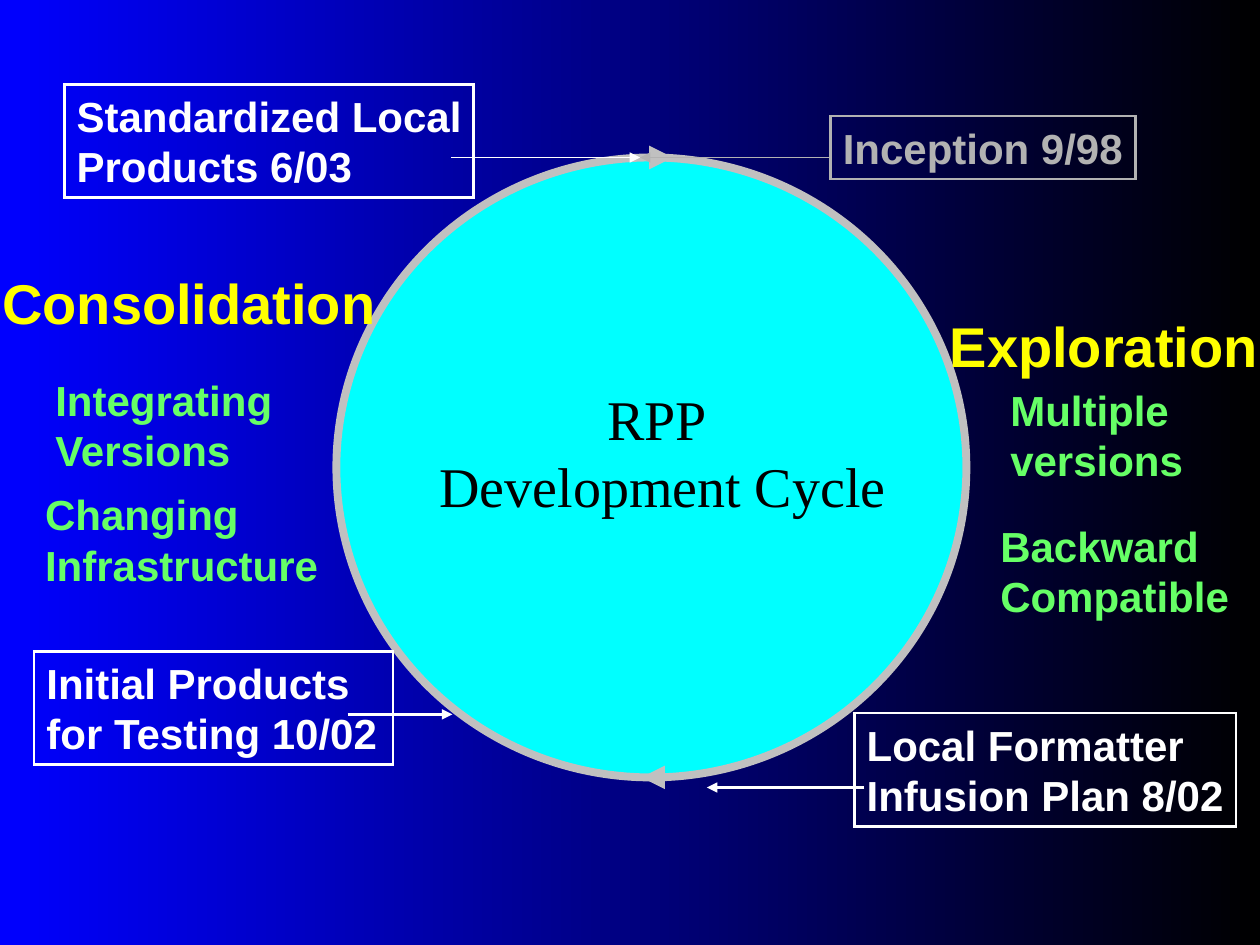
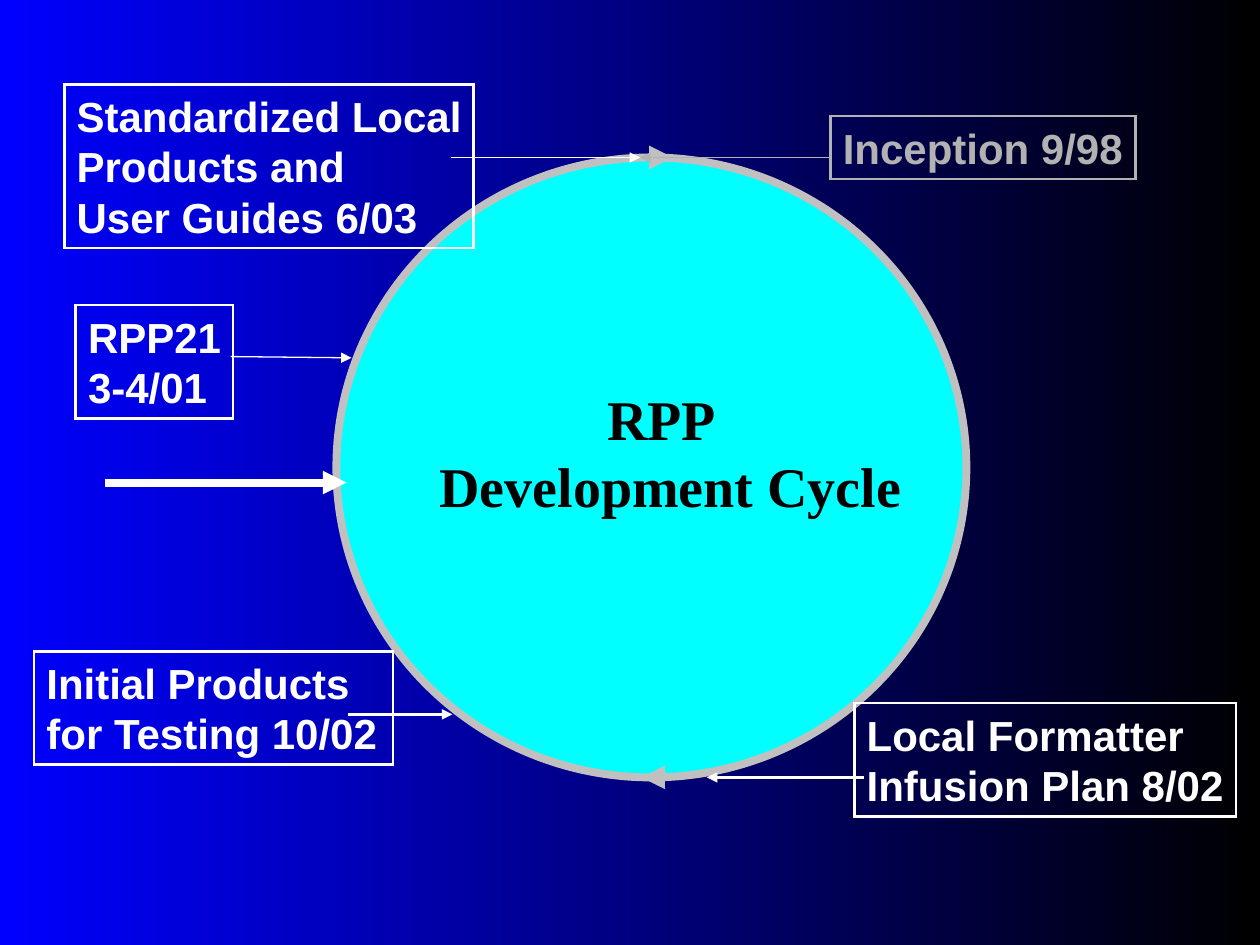
import pptx
import pptx.dml.color
import pptx.enum.shapes
import pptx.enum.text
import pptx.oxml.ns
import pptx.util
from lxml import etree

Inches = pptx.util.Inches
Pt = pptx.util.Pt
qn = pptx.oxml.ns.qn

WHITE, BLACK, BLUE = "FFFFFF", "000000", "0000FF"
CYAN, RING, MUTED = "00FFFF", "C0C0C0", "B2B2B2"
YELLOW, GREEN = "FFFF00", "66FF66"

CYCLE_LEFT, CYCLE_TOP, CYCLE_WIDTH, CYCLE_HEIGHT = 2.67, 1.25, 5, 4.92
CYCLE_BOTTOM = CYCLE_TOP + CYCLE_HEIGHT

LABEL_FONT = {"name": "Arial", "size": Pt(24), "bold": True}
PHASE_FONT = {**LABEL_FONT, "size": Pt(32)}
CYCLE_FONT = {"name": "Times New Roman", "size": Pt(32)}

PHASES = [
    ("Exploration", (7.44, 2.42, 2.65, 0.64)),
    ("Consolidation", (-0.08, 2.08, 3.16, 0.64)),
]
ACTIVITIES = [
    (["Multiple", "versions"], (7.92, 3, 1.57, 0.9)),
    (["Backward", "Compatible"], (7.84, 4.08, 2.01, 0.9)),
    (["Changing", "Infrastructure"], (0.26, 3.83, 2.36, 0.9)),
    (["Integrating", "Versions"], (0.34, 2.92, 1.92, 0.9)),
]


def color(hex_code):
    """Return the colour for a hex string."""
    return pptx.dml.color.RGBColor.from_string(hex_code)


def write_lines(shape, lines, font, hex_code, wrap=False, indents=None):
    """Fill a shape with left-aligned paragraphs, indented if asked."""
    frame = shape.text_frame
    settings = {
        "word_wrap": wrap,
        "auto_size": pptx.enum.text.MSO_AUTO_SIZE.SHAPE_TO_FIT_TEXT,
        "vertical_anchor": pptx.enum.text.MSO_ANCHOR.TOP,
        "margin_right": Inches(0.1 if wrap else 0),
    }
    for name, value in settings.items():
        setattr(frame, name, value)
    frame.text = "\n".join(lines)
    for number, paragraph in enumerate(frame.paragraphs):
        paragraph.alignment = pptx.enum.text.PP_ALIGN.LEFT
        if indents:
            properties = paragraph._p.get_or_add_pPr()
            properties.set("marL", str(Inches(indents[number])))
            properties.set("indent", "0")
        for name, value in font.items():
            setattr(paragraph.font, name, value)
        paragraph.font.color.rgb = color(hex_code)


def add_label(slide, lines, place, font, hex_code, **layout):
    """Add plain text without a border."""
    label = slide.shapes.add_textbox(*map(Inches, place))
    write_lines(label, lines, font, hex_code, **layout)


def add_milestone(slide, lines, place, hex_code=WHITE):
    """Add a dated milestone in a thin, sharp-cornered frame."""
    milestone = slide.shapes.add_shape(
        pptx.enum.shapes.MSO_SHAPE.RECTANGLE, *map(Inches, place))
    milestone.shadow.inherit = False
    milestone.fill.background()
    milestone.line.color.rgb = color(hex_code)
    milestone.line.width = Pt(1.5)
    etree.SubElement(milestone.line._get_or_add_ln(), qn("a:miter"), lim="800000")
    write_lines(milestone, lines, LABEL_FONT, hex_code)


def add_arrow(slide, start, end, width, hex_code=WHITE):
    """Add a straight arrow with its head at the end point."""
    arrow = slide.shapes.add_connector(
        pptx.enum.shapes.MSO_CONNECTOR.STRAIGHT, *map(Inches, (*start, *end)))
    arrow.line.color.rgb = color(hex_code)
    arrow.line.width = Pt(width)
    etree.SubElement(arrow.line._get_or_add_ln(), qn("a:tailEnd"), type="triangle")
    etree.SubElement(arrow._element.spPr, qn("a:effectLst"))


def add_cycle(slide):
    """Add the ringed circle with its two direction heads."""
    cycle = slide.shapes.add_shape(
        pptx.enum.shapes.MSO_SHAPE.OVAL,
        *map(Inches, (CYCLE_LEFT, CYCLE_TOP, CYCLE_WIDTH, CYCLE_HEIGHT)))
    cycle.shadow.inherit = False
    cycle.fill.solid()
    cycle.fill.fore_color.rgb = color(CYAN)
    cycle.line.color.rgb = color(RING)
    cycle.line.width = Pt(4.5)
    add_arrow(slide, (5.25, CYCLE_BOTTOM), (5.09, CYCLE_BOTTOM), 4.5, RING)
    add_arrow(slide, (5.17, CYCLE_TOP), (5.34, CYCLE_TOP), 4.5, RING)


def add_cycle_slide(deck, products, products_height, formatter_top,
                    formatter_arrow, bold_title):
    """Add a slide with the background, cycle and common milestones."""
    slide = deck.slides.add_slide(deck.slide_layouts[6])
    backdrop = slide.background.fill
    backdrop.gradient()
    backdrop.gradient_angle = 180
    for stop, hex_code in zip(backdrop.gradient_stops, (BLACK, BLUE)):
        stop.color.rgb = color(hex_code)
    add_cycle(slide)
    add_milestone(slide, ["Inception 9/98"], (6.59, 0.92, 2.42, 0.5), MUTED)
    add_milestone(slide, ["Local Formatter", "Infusion Plan 8/02"],
                  (6.78, formatter_top, 3.03, 0.9))
    add_arrow(slide, (6.86, formatter_arrow), (5.61, formatter_arrow), 1.5)
    add_milestone(slide, ["Initial Products", "for Testing 10/02"],
                  (0.27, 5.17, 2.85, 0.9))
    add_arrow(slide, (2.76, 5.67), (3.59, 5.67), 1.5)
    add_label(slide, ["RPP", "Development Cycle"], (2.83, 3, 4.67, 1.17),
              {**CYCLE_FONT, "bold": bold_title}, BLACK,
              wrap=True, indents=(1.89, 0.56))
    add_milestone(slide, products, (0.51, 0.67, 3.25, products_height))
    add_arrow(slide, (3.58, CYCLE_TOP), (5.08, CYCLE_TOP), 0.75)
    add_arrow(slide, (6.58, CYCLE_TOP), (5.08, CYCLE_TOP), 0.75, MUTED)
    return slide


def main():
    """Build both slides of the development cycle."""
    deck = pptx.Presentation()
    deck.slide_width, deck.slide_height = Inches(10), Inches(7.5)

    phases = add_cycle_slide(
        deck, ["Standardized Local", "Products 6/03"], 0.9, 5.66, 6.25, False)
    for phase, place in PHASES:
        add_label(phases, [phase], place, PHASE_FONT, YELLOW)
    for activity, place in ACTIVITIES:
        add_label(phases, activity, place, LABEL_FONT, GREEN)

    progress = add_cycle_slide(
        deck, ["Standardized Local", "Products and", "User Guides 6/03"],
        1.3, 5.58, 6.17, True)
    add_milestone(progress, ["RPP21", "3-4/01"], (0.6, 2.42, 1.25, 0.9))
    add_arrow(progress, (1.83, 2.83), (2.79, 2.84), 0.75)
    add_arrow(progress, (0.83, 3.83), (2.75, 3.83), 4.5)

    deck.save("out.pptx")


if __name__ == "__main__":
    main()
